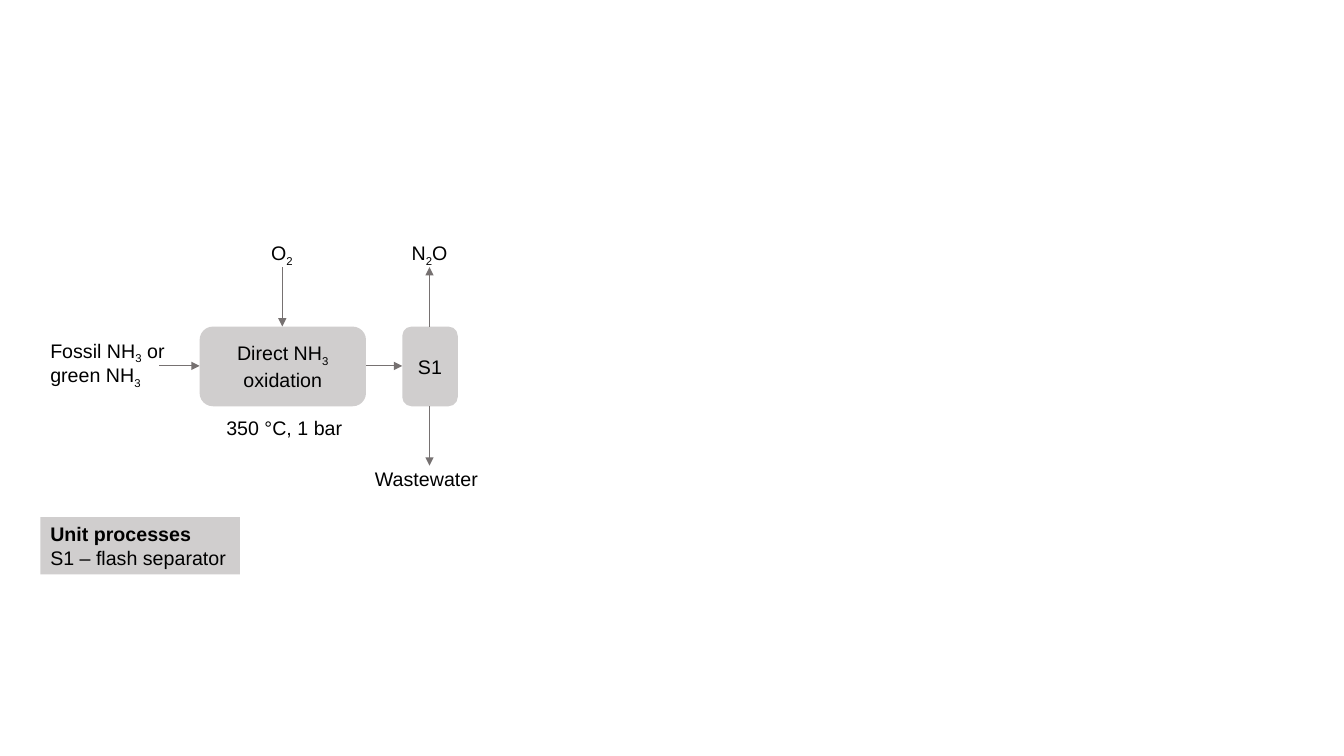
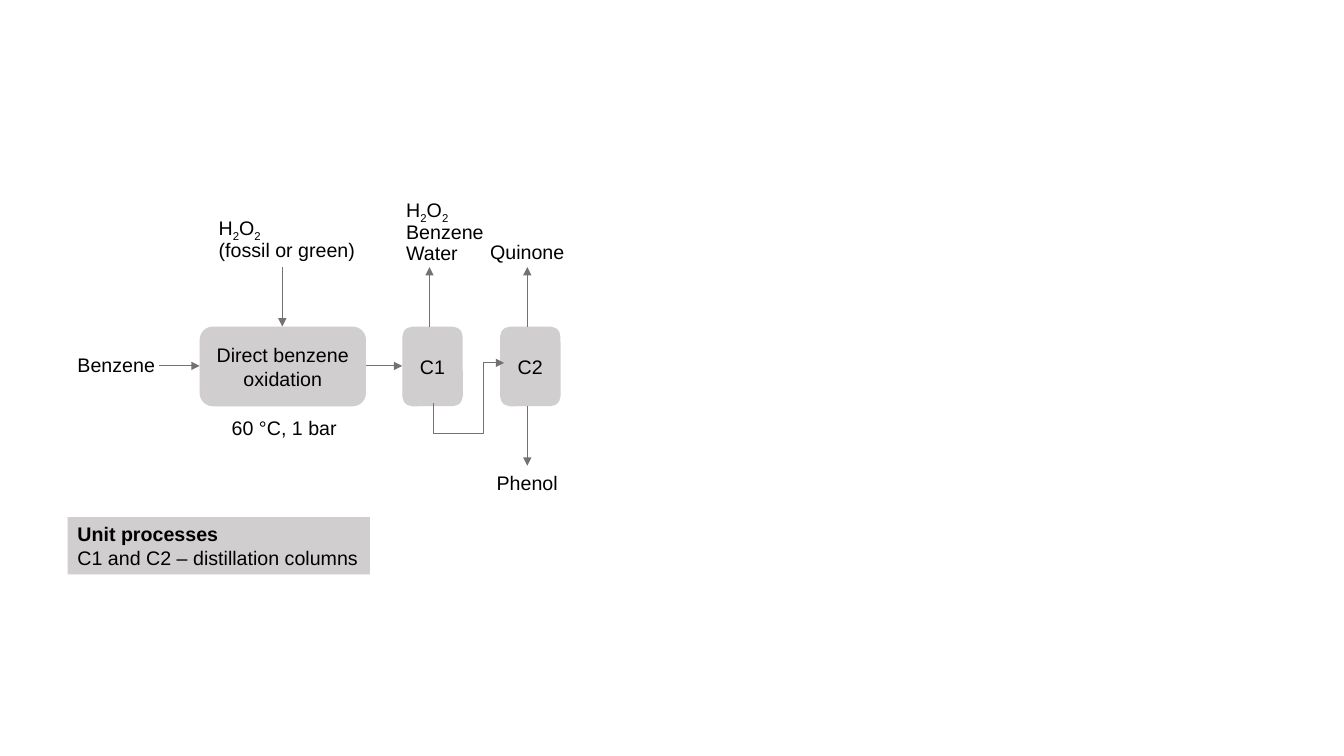
from lxml.etree import SubElement
from pptx import Presentation
from pptx.dml.color import RGBColor
from pptx.enum.shapes import MSO_CONNECTOR as Connector, MSO_SHAPE as Shape
from pptx.enum.text import MSO_ANCHOR as Anchor, MSO_AUTO_SIZE as AutoSize, PP_ALIGN as Align
from pptx.oxml.ns import qn
from pptx.util import Inches, Pt

BLACK = RGBColor(0x00, 0x00, 0x00)
BOX_GRAY = RGBColor(0xD0, 0xCE, 0xCE)
LINE_GRAY = RGBColor(0x76, 0x71, 0x71)

# Columns and rows of a grid with ten cells to the inch
CELL = Inches(0.1)
UNIT_TOP, UNIT_HEIGHT = 32.4, 7.9
UNIT_BOTTOM = UNIT_TOP + UNIT_HEIGHT
FLOW_ROW = 36.3
VENT_ROW, DRAIN_ROW = 26.5, 46.2
VENT_LABEL_ROW = 22.7
LABEL_HEIGHT = 4.8
REACTOR_LEFT, REACTOR_WIDTH = 19.8, 16.5
REACTOR_RIGHT = REACTOR_LEFT + REACTOR_WIDTH
REACTOR_CENTER = 28
SEPARATOR_LEFT, SEPARATOR_CENTER = 39.9, 42.6
COLUMN_WIDTH = 6
SECOND_LEFT, SECOND_CENTER = 49.6, 52.3


def cells(*counts):
    return [round(count * CELL) for count in counts]


class FlowDiagram:
    def __init__(self, presentation):
        self.presentation = presentation
        self.shapes = None

    def new_slide(self):
        layout = self.presentation.slide_layouts[6]
        self.shapes = self.presentation.slides.add_slide(layout).shapes

    def fill_text(self, frame, lines, align, spacing=None):
        """Add one paragraph per line; the character after "_" is a subscript."""
        for index, line in enumerate(lines):
            paragraph = frame.paragraphs[0] if index == 0 else frame.add_paragraph()
            paragraph.alignment = align
            paragraph.line_spacing = spacing
            paragraph.font.name = "Arial"
            paragraph.font.size = Pt(14)
            paragraph.font.color.rgb = BLACK
            first, *others = line.split("_")
            paragraph.add_run().text = first
            for part in others:
                subscript = paragraph.add_run()
                subscript.text = part[0]
                subscript.font._element.set("baseline", "-25000")
                if part[1:]:
                    paragraph.add_run().text = part[1:]

    def label(self, lines, left, top, width, align=Align.LEFT):
        box = self.shapes.add_textbox(*cells(left, top, width, LABEL_HEIGHT))
        frame = box.text_frame
        frame.word_wrap = True
        frame.vertical_anchor = Anchor.MIDDLE
        self.fill_text(frame, lines, align, 0.9)

    def centered_label(self, text, center, top, width=12.3):
        self.label([text], center - width / 2, top, width, Align.CENTER)

    def unit(self, name, left, width):
        shape = self.shapes.add_shape(
            Shape.ROUNDED_RECTANGLE, *cells(left, UNIT_TOP, width, UNIT_HEIGHT))
        shape.shadow.inherit = False
        shape.fill.solid()
        shape.fill.fore_color.rgb = BOX_GRAY
        shape.line.fill.background()
        shape.text_frame.word_wrap = True
        shape.text_frame.vertical_anchor = Anchor.MIDDLE
        self.fill_text(shape.text_frame, [name], Align.CENTER)

    def style_arrow(self, shape):
        shape.line.color.rgb = LINE_GRAY
        shape.line.width = Pt(0.75)
        SubElement(shape.line._get_or_add_ln(), qn("a:tailEnd"), type="triangle")

    def arrow(self, start_column, start_row, end_column, end_row):
        connector = self.shapes.add_connector(
            Connector.STRAIGHT, *cells(start_column, start_row, end_column, end_row))
        self.style_arrow(connector)
        SubElement(connector._element.spPr, qn("a:effectLst"))

    def bent_arrow(self, start, *corners):
        builder = self.shapes.build_freeform(*start, scale=CELL)
        builder.add_line_segments(corners, close=False)
        shape = builder.convert_to_shape()
        shape.fill.background()
        self.style_arrow(shape)
        shape.shadow.inherit = False

    def vent(self, center):
        self.arrow(center, UNIT_TOP, center, VENT_ROW)

    def drain(self, center):
        self.arrow(center, UNIT_BOTTOM, center, DRAIN_ROW)

    def reactor(self, name, conditions):
        """Draw the reactor with its feed, oxidant and product arrows."""
        self.arrow(15.8, FLOW_ROW, REACTOR_LEFT, FLOW_ROW)
        self.arrow(REACTOR_CENTER, VENT_ROW, REACTOR_CENTER, UNIT_TOP)
        self.arrow(REACTOR_RIGHT, FLOW_ROW, SEPARATOR_LEFT, FLOW_ROW)
        self.unit(name, REACTOR_LEFT, REACTOR_WIDTH)
        self.centered_label(conditions, 28.2, 40.2, 15.7)

    def legend(self, entry, left, width):
        box = self.shapes.add_textbox(*cells(left, 51.3, width, 5.7))
        box.fill.solid()
        box.fill.fore_color.rgb = BOX_GRAY
        box.text_frame.word_wrap = False
        box.text_frame.auto_size = AutoSize.SHAPE_TO_FIT_TEXT
        self.fill_text(box.text_frame, ["Unit processes", entry], Align.LEFT)
        box.text_frame.paragraphs[0].font.bold = True


def draw_ammonia_oxidation(diagram):
    diagram.new_slide()
    diagram.reactor("Direct NH_3 oxidation", "350 °C, 1 bar")
    diagram.label(["Fossil NH_3 or green NH_3"], 4, 33.6, 16.5)
    diagram.label(["O_2"], 25.9, VENT_LABEL_ROW, 4.2)
    diagram.unit("S1", SEPARATOR_LEFT, 5.5)
    diagram.vent(SEPARATOR_CENTER)
    diagram.centered_label("N_2O", SEPARATOR_CENTER, VENT_LABEL_ROW)
    diagram.drain(SEPARATOR_CENTER)
    diagram.centered_label("Wastewater", 42.3, 45.2)
    diagram.legend("S1 – flash separator", 4, 19.8)


def draw_benzene_oxidation(diagram):
    diagram.new_slide()
    diagram.reactor("Direct benzene oxidation", "60 °C, 1 bar")
    diagram.label(["Benzene"], 6.7, 33.9, 10.1)
    diagram.label(["H_2O_2", "(fossil or green)"], 20.7, 21.3, 16.5)
    diagram.unit("C1", SEPARATOR_LEFT, COLUMN_WIDTH)
    diagram.vent(SEPARATOR_CENTER)
    diagram.label(["H_2O_2", "Benzene", "Water"], 39.3, 20.6, 16.9)
    diagram.unit("C2", SECOND_LEFT, COLUMN_WIDTH)
    diagram.bent_arrow((42.9, UNIT_BOTTOM), (42.9, 42.8), (47.7, 42.8),
                       (47.7, FLOW_ROW), (SECOND_LEFT, FLOW_ROW))
    diagram.vent(SECOND_CENTER)
    diagram.centered_label("Quinone", SECOND_CENTER, VENT_LABEL_ROW)
    diagram.drain(SECOND_CENTER)
    diagram.centered_label("Phenol", SECOND_CENTER, 45.6)
    diagram.legend("C1 and C2 – distillation columns", 6.7, 30)


def main():
    presentation = Presentation()
    presentation.slide_width = Inches(13.33)
    presentation.slide_height = Inches(7.5)
    diagram = FlowDiagram(presentation)
    draw_ammonia_oxidation(diagram)
    draw_benzene_oxidation(diagram)
    presentation.save("out.pptx")


if __name__ == "__main__":
    main()
